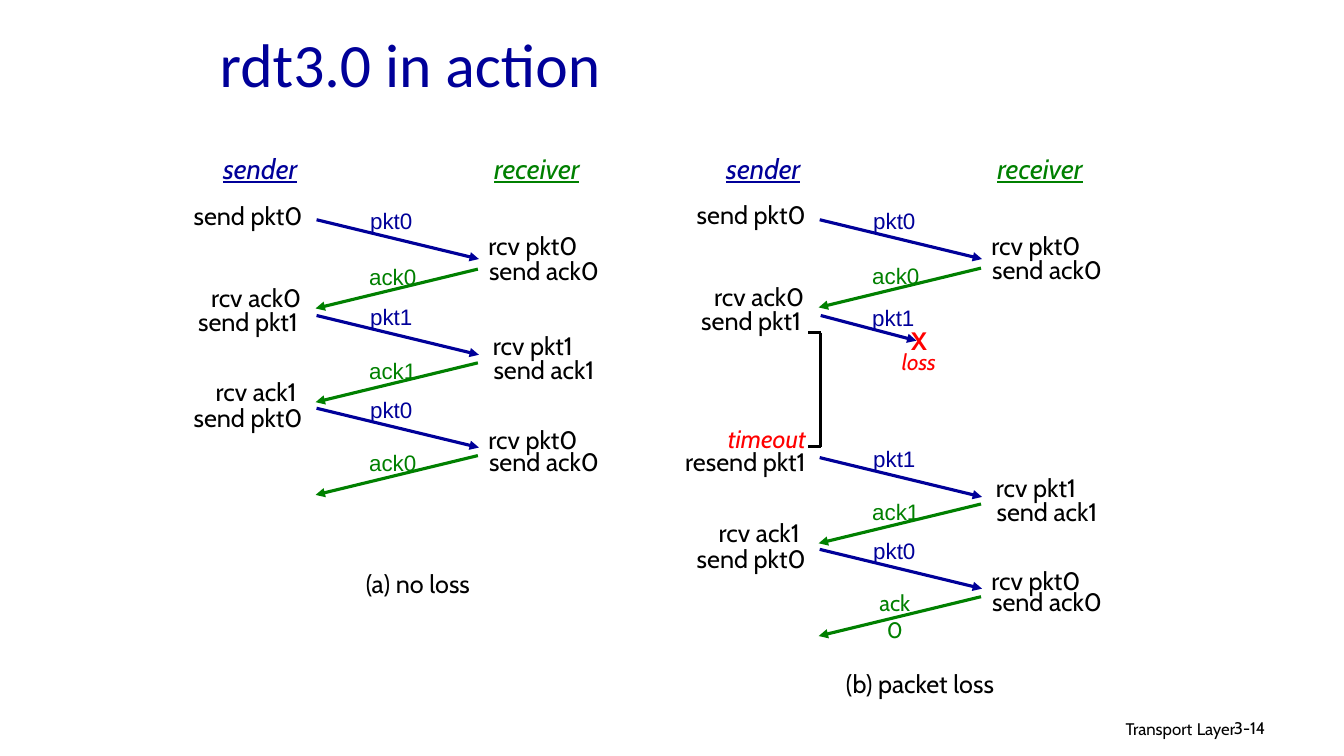
from pptx import Presentation
from pptx.dml.color import RGBColor
from pptx.enum.shapes import MSO_CONNECTOR
from pptx.enum.text import MSO_ANCHOR, MSO_AUTO_SIZE, PP_ALIGN
from pptx.oxml.ns import qn
from pptx.util import Inches, Pt
from lxml.etree import SubElement

BLUE = RGBColor(0x00, 0x00, 0x99)
GREEN = RGBColor(0x00, 0x80, 0x00)
RED = RGBColor(0xFF, 0x00, 0x00)
BLACK = RGBColor(0x00, 0x00, 0x00)

# Left offset and width of each kind of event label within a panel
EVENT_COLUMNS = {
    "send pkt": (0.02, 1.28),
    "rcv ack": (0.18, 1.12),
    "rcv pkt": (2.94, 1.09),
    "send ack": (2.94, 1.31),
}
SENDER_X, RECEIVER_X = 1.34, 2.95
MESSAGE_DROP = 0.39

# Heights below the top of the panel
NO_LOSS_EVENTS = [
    ("send pkt0", 0.49), ("rcv pkt0", 0.79), ("send ack0", 1.03),
    ("rcv ack0", 1.3), ("send pkt1", 1.54), ("rcv pkt1", 1.78),
    ("send ack1", 2.02), ("rcv ack1", 2.23), ("send pkt0", 2.49),
    ("rcv pkt0", 2.71), ("send ack0", 2.93),
]
NO_LOSS_MESSAGES = [
    ("pkt0", 0.73), ("ack0", 1.22), ("pkt1", 1.68),
    ("ack1", 2.15), ("pkt0", 2.6), ("ack0", 3.07),
]
LOSS_EVENTS = [
    ("send pkt0", 0.48), ("rcv pkt0", 0.79), ("send ack0", 1.02),
    ("rcv ack0", 1.29), ("send pkt1", 1.53), ("rcv pkt1", 3.19),
    ("send ack1", 3.42), ("rcv ack1", 3.63), ("send pkt0", 3.89),
    ("rcv pkt0", 4.11), ("send ack0", 4.32),
]
LOSS_MESSAGES = [
    ("pkt0", 0.73), ("ack0", 1.21), ("pkt1", 3.09), ("ack1", 3.55), ("pkt0", 4.0),
]


def style(span, size, color, font="Cabin", italic=False, underline=False, bold=False):
    span.font.name = font
    span.font.size = Pt(size)
    span.font.color.rgb = color
    span.font.italic = italic
    span.font.underline = underline
    span.font.bold = bold


def add_text(page, text, left, top, width, height, size=18, color=BLACK,
             align=PP_ALIGN.CENTER, wrap=False, **look):
    box = page.shapes.add_textbox(Inches(left), Inches(top), Inches(width), Inches(height))
    frame = box.text_frame
    frame.text = text
    frame.word_wrap = wrap
    frame.auto_size = MSO_AUTO_SIZE.NONE if wrap else MSO_AUTO_SIZE.SHAPE_TO_FIT_TEXT
    for para in frame.paragraphs:
        para.alignment = align
        for span in para.runs:
            style(span, size, color, **look)
    return box


def add_line(page, start, end, color=BLACK, arrow=False):
    line = page.shapes.add_connector(
        MSO_CONNECTOR.STRAIGHT, *(Inches(value) for value in (*start, *end)))
    line.line.color.rgb = color
    line.line.width = Pt(2.25)
    if arrow:
        SubElement(line.line._get_or_add_ln(), qn("a:tailEnd"), type="triangle")
    SubElement(line._element.spPr, qn("a:effectLst"))


def add_message(page, left, top, name, label=True):
    """Draw a packet to the receiver or an acknowledgement back to the sender."""
    if name.startswith("pkt"):
        color, start_x, end_x = BLUE, SENDER_X, RECEIVER_X
        label_x, rise, width = 1.77, 0.17, 0.62
    else:
        color, start_x, end_x = GREEN, RECEIVER_X - 0.01, SENDER_X - 0.01
        label_x, rise, width = 1.76, 0.11, 0.67
    add_line(page, (left + start_x, top), (left + end_x, top + MESSAGE_DROP), color, True)
    if label:
        add_text(page, name, left + label_x, top - rise, width, 0.37, 16, color, font="Arial")


def add_exchange(page, left, top, events, messages):
    """Draw the column headings, event labels and messages of one panel."""
    add_text(page, "sender", left + 0.27, top, 1.02, 0.43, 20, BLUE,
             italic=True, underline=True)
    add_text(page, "receiver", left + 2.94, top, 1.17, 0.43, 20, GREEN,
             italic=True, underline=True)
    for event, drop in events:
        offset, width = EVENT_COLUMNS[event[:-1]]
        add_text(page, event, left + offset, top + drop, width, 0.4)
    for name, drop in messages:
        add_message(page, left, top + drop, name)


def add_no_loss_panel(page, left, top):
    add_exchange(page, left, top, NO_LOSS_EVENTS, NO_LOSS_MESSAGES)
    add_text(page, "(a) no loss", left + 1.66, top + 4.14, 1.37, 0.4)


def add_packet_loss_panel(page, left, top):
    add_exchange(page, left, top, LOSS_EVENTS, LOSS_MESSAGES)

    # Last acknowledgement, with a narrow wrapped label
    add_message(page, left, top + 4.47, "ack0", label=False)
    add_text(page, "ack0", left + 1.76, top + 4.35, 0.65, 0.37, 16, GREEN, wrap=True)

    # Lost packet
    add_line(page, (left + 1.35, top + 1.68), (left + 2.3, top + 1.93), BLUE, True)
    add_text(page, "pkt1", left + 1.76, top + 1.52, 0.62, 0.37, 16, BLUE, font="Arial")
    add_text(page, "X", left + 2.14, top + 1.73, 0.37, 0.4, color=RED, bold=True)
    add_text(page, "loss", left + 2.04, top + 1.95, 0.57, 0.37, 16, RED, italic=True)

    # Timeout bracket
    bracket_x, bracket_top, bracket_bottom = left + 1.35, top + 1.85, top + 2.98
    add_line(page, (bracket_x, bracket_top), (bracket_x, bracket_bottom))
    for end_y in (bracket_top, bracket_bottom):
        add_line(page, (bracket_x, end_y), (bracket_x - 0.13, end_y))
    box = add_text(page, "timeout\nresend pkt1", left - 0.21, top + 2.77, 1.51, 0.55,
                   align=PP_ALIGN.RIGHT)
    for para in box.text_frame.paragraphs:
        para.line_spacing = 0.75
    style(box.text_frame.paragraphs[0].runs[0], 18, RED, italic=True)

    add_text(page, "(b) packet loss", left + 1.42, top + 5.13, 1.83, 0.4)


def add_title(page, left, top):
    box = add_text(page, "rdt3.0 in action", left, top, 4.31, 0.68, 44, BLUE,
                   PP_ALIGN.LEFT, wrap=True, font="Calibri")
    box.text_frame.vertical_anchor = MSO_ANCHOR.MIDDLE


def add_footer(page, left, top):
    box = add_text(page, "Transport", left, top, 4.22, 0.31, 12,
                   align=PP_ALIGN.RIGHT, wrap=True)
    para = box.text_frame.paragraphs[0]
    for text, size in ((" ", 14), ("Layer", 12)):
        span = para.add_run()
        span.text = text
        style(span, size, BLACK)
    add_text(page, "3-14", left + 4.01, top + 0.02, 0.99, 0.3, 12,
             align=PP_ALIGN.LEFT, wrap=True)


def main():
    deck = Presentation()
    deck.slide_width, deck.slide_height = Inches(13.33), Inches(7.5)
    page = deck.slides.add_slide(deck.slide_layouts[6])
    add_title(page, 2.08, 0.28)
    add_no_loss_panel(page, 1.8, 1.45)
    add_packet_loss_panel(page, 6.79, 1.45)
    add_footer(page, 8.13, 7.05)
    deck.save("out.pptx")


if __name__ == "__main__":
    main()
